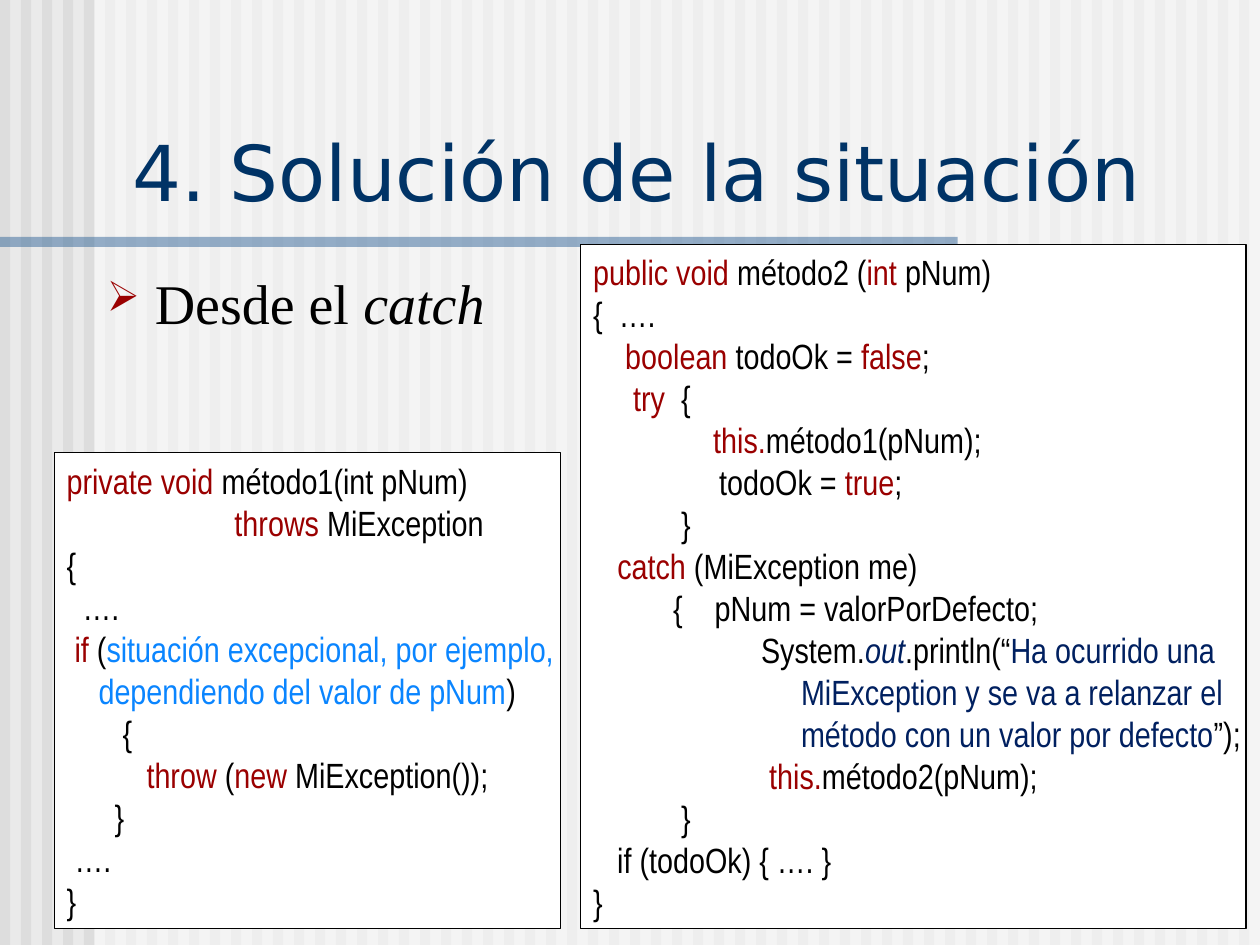
from dataclasses import dataclass

from lxml.etree import SubElement
from pptx import Presentation
from pptx.dml.color import RGBColor
from pptx.enum.shapes import MSO_SHAPE
from pptx.enum.text import MSO_ANCHOR, PP_ALIGN
from pptx.oxml.ns import qn
from pptx.util import Inches, Pt


@dataclass(frozen=True)
class Theme:
    background: str = "EAEAEA"
    stripe: str = "DDDDDD"
    white: str = "FFFFFF"
    rule: str = "336699"
    title: str = "003366"
    text: str = "000000"
    keyword: str = "9A0000"
    note: str = "0A85FF"
    string: str = "002060"
    title_font: str = "DejaVu Sans"
    body_font: str = "Times New Roman"
    code_font: str = "Arial Narrow"
    title_size: int = 44
    body_size: int = 32
    code_size: int = 20


class SlideBuilder:
    """Draws styled elements on the current slide."""

    def __init__(self, page, theme):
        self.page = page
        self.theme = theme

    def background(self):
        fill = self.page.background.fill
        fill.solid()
        fill.fore_color.rgb = RGBColor.from_string(self.theme.background)

    def rectangle(self, place, color, alpha=None, outline=None):
        box = self.page.shapes.add_shape(MSO_SHAPE.RECTANGLE, *map(Inches, place))
        box.shadow.inherit = False
        box.fill.solid()
        box.fill.fore_color.rgb = RGBColor.from_string(color)
        if alpha:
            value = box.fill._xPr.find(".//" + qn("a:srgbClr"))
            SubElement(value, qn("a:alpha"), val=str(alpha * 1000))
        if outline:
            box.line.color.rgb = RGBColor.from_string(outline)
            box.line.width = Pt(0.75)
        else:
            box.line.fill.background()
        return box

    def spans(self, para, parts, size, font):
        for part in parts:
            words, color, italic = (*part, self.theme.text, False)[:3] if len(part) == 1 else (*part, False)[:3]
            span = para.add_run()
            span.text = words
            span.font.color.rgb = RGBColor.from_string(color)
            for name, value in {"size": Pt(size), "name": font, "italic": italic}.items():
                setattr(span.font, name, value)

    def text(self, place, parts, size, font, anchor=MSO_ANCHOR.TOP):
        box = self.page.shapes.add_textbox(*map(Inches, place))
        frame = box.text_frame
        for name, value in {"word_wrap": True, "vertical_anchor": anchor}.items():
            setattr(frame, name, value)
        para = frame.paragraphs[0]
        self.spans(para, parts, size, font)
        return para

    def bullet(self, para, symbol):
        properties = para._p.get_or_add_pPr()
        for name, value in {"marL": 0.38, "indent": -0.38}.items():
            properties.set(name, str(Inches(value)))
        color = SubElement(properties, qn("a:buClr"))
        SubElement(color, qn("a:srgbClr"), val=self.theme.keyword)
        SubElement(properties, qn("a:buSzPct"), val="75000")
        SubElement(properties, qn("a:buChar"), char=symbol)

    def code(self, place, lines):
        theme = self.theme
        box = self.rectangle(place, theme.white, outline=theme.text)
        frame = box.text_frame
        for name, value in {"word_wrap": False, "vertical_anchor": MSO_ANCHOR.MIDDLE}.items():
            setattr(frame, name, value)
        for index, parts in enumerate(lines):
            para = frame.add_paragraph() if index else frame.paragraphs[0]
            para.alignment = PP_ALIGN.LEFT
            tabs = SubElement(para._p.get_or_add_pPr(), qn("a:tabLst"))
            for stop in range(1, 8):
                SubElement(tabs, qn("a:tab"), pos=str(Inches(stop)), algn="l")
            self.spans(para, parts, theme.code_size, theme.code_font)


def main():
    theme = Theme()
    keyword, note, string = theme.keyword, theme.note, theme.string
    deck = Presentation()
    deck.slide_width, deck.slide_height = Inches(10), Inches(7.5)
    builder = SlideBuilder(deck.slides.add_slide(deck.slide_layouts[6]), theme)

    builder.background()
    for index in range(60):
        builder.rectangle((index / 6, 0, 0.08, 7.5), theme.stripe)
    builder.rectangle((0.75, 0, 9.25, 7.5), theme.white, alpha=50)
    builder.rectangle((0, 1.88, 7.6, 0.08), theme.rule, alpha=50)

    builder.text((0.95, 0.94, 8.93, 0.83), [("4. Solución de la situación", theme.title)],
                 theme.title_size, theme.title_font, MSO_ANCHOR.BOTTOM)
    topic = builder.text((0.75, 2.08, 9.12, 4.58), [("Desde el ",), ("catch", theme.text, True)],
                         theme.body_size, theme.body_font)
    builder.bullet(topic, "➢")

    builder.code((0.43, 3.59, 4.02, 3.78), [
        [("private void ", keyword), ("método1(int pNum)",)],
        [("                     ",), ("throws", keyword), (" MiException",)],
        [("{",)],
        [("  ….",)],
        [(" if ", keyword), ("(",), ("situación excepcional, por ejemplo,", note)],
        [("    dependiendo del valor de pNum", note), (")",)],
        [("       {",)],
        [("          ",), ("throw", keyword), (" (",), ("new", keyword), (" MiException());",)],
        [("      }",)],
        [(" ….",)],
        [("}",)],
    ])
    builder.code((4.61, 1.94, 5.28, 5.43), [
        [("public void ", keyword), ("método2 (",), ("int ", keyword), ("pNum)",)],
        [("{  ….",)],
        [("    boolean", keyword), (" todoOk = ",), ("false", keyword), (";",)],
        [("     try", keyword), ("  {",)],
        [("               ",), ("this.", keyword), ("método1(pNum);",)],
        [("\ttodoOk = ",), ("true", keyword), (";",)],
        [("           }",)],
        [("   ",), ("catch", keyword), (" (MiException me)",)],
        [("          {    pNum = valorPorDefecto;",)],
        [("                     System.",), ("out", string, True), (".println(“",),
         ("Ha ocurrido una", string)],
        [("                          MiException y se va a relanzar el", string)],
        [("                          método con un valor por defecto", string), ("”);",)],
        [("                      ",), ("this.", keyword), ("método2(pNum);",)],
        [("           }",)],
        [("   if (todoOk) { …. }",)],
        [("}",)],
    ])
    deck.save("out.pptx")


if __name__ == "__main__":
    main()
